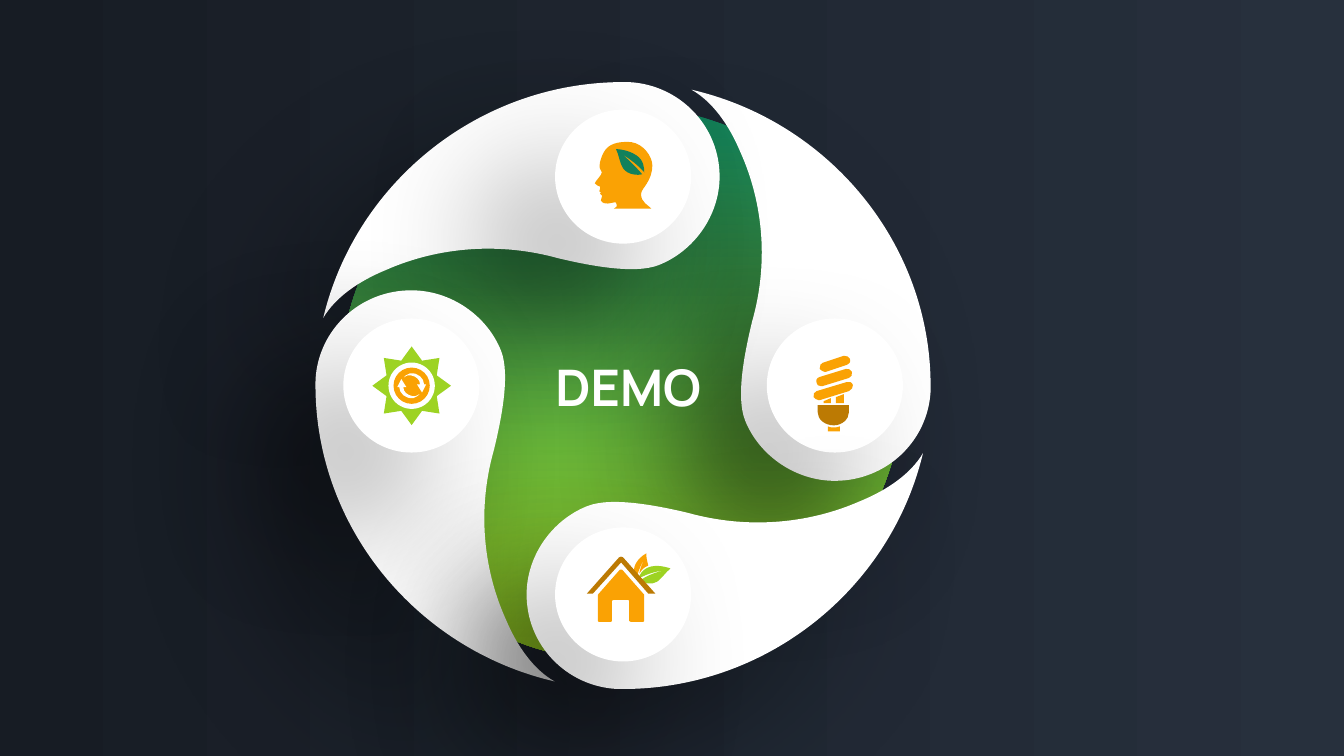
import math
import lxml.etree
import pptx
import pptx.dml.color
import pptx.enum.shapes
import pptx.enum.text
import pptx.oxml.ns
import pptx.util

inch = pptx.util.Inches
hue = pptx.dml.color.RGBColor.from_string
qn = pptx.oxml.ns.qn
kind = pptx.enum.shapes.MSO_SHAPE
WHITE, ORANGE, BROWN, LIME, GREEN = "FFFFFF", "FAA204", "BC7A03", "9DD323", "11815C"
W, H = 13.33, 7.5

deck = pptx.Presentation()
deck.slide_width, deck.slide_height = inch(W), inch(H)
slide = deck.slides.add_slide(deck.slide_layouts[6])
shapes = slide.shapes


def paint(shape, *tones, angle=0, shade=False):
    """Fill with one tone, or a gradient of two; optionally cast a soft shadow."""
    shape.line.fill.background()
    shape.shadow.inherit = False
    if len(tones) == 1:
        shape.fill.solid()
        shape.fill.fore_color.rgb = hue(tones[0])
    else:
        shape.fill.gradient()
        shape.fill.gradient_angle = angle
        for stop, tone in zip(shape.fill.gradient_stops, tones):
            stop.color.rgb = hue(tone)
    if shade:
        glow = lxml.etree.SubElement(
            shape.element.spPr.find(qn("a:effectLst")), qn("a:outerShdw"),
            blurRad=str(pptx.util.Pt(100)), dist=str(pptx.util.Pt(67)),
            dir=str(135 * 60000), algn="tr", rotWithShape="0")
        tone = lxml.etree.SubElement(glow, qn("a:srgbClr"), val="000000")
        lxml.etree.SubElement(tone, qn("a:alpha"), val="40000")


def draw(path, tone, move=lambda x, y: (x, y), shade=False):
    """Path steps are split by ';': two numbers make a line, six a Bezier curve."""
    steps = [[float(n) for n in step.split()] for step in path.split(";")]
    dots = [tuple(1000 * v for v in move(x, y))
            for step in steps for x, y in zip(step[::2], step[1::2])]
    pen = shapes.build_freeform(*dots[0], scale=914.4)
    pen.add_line_segments(dots[1:], close=True)
    form = pen.convert_to_shape()
    # Merge each run of three points that belongs to a curve
    lines = iter(list(form.element.iter(qn("a:lnTo"))))
    for step in steps[1:]:
        first = next(lines)
        if len(step) == 6:
            first.tag = qn("a:cubicBezTo")
            for extra in (next(lines), next(lines)):
                first.append(extra[0])
                extra.getparent().remove(extra)
    paint(form, tone, shade=shade)


# Backdrop and green hub
back = shapes.add_shape(kind.RECTANGLE, 0, 0, inch(W), inch(H))
paint(back, "171C24", "27303D")
hub = shapes.add_shape(kind.OVAL, inch(3.37), inch(1.05), inch(5.59), inch(5.51))
paint(hub, GREEN, LIME, angle=270)

# Four petals with discs: right, top, left, bottom, each a quarter turn on
CX, CY, FLAT = 6.18, 3.825, 0.987
PETAL = ("9.23 3.89; 9.26 2.45 8.24 1.21 6.86 .89; 7.07 1.01 7.23 1.24 7.34 1.5;"
         "7.58 2.03 7.62 2.63 7.46 3.19; 7.38 3.52 7.3 3.94 7.39 4.17;"
         "7.53 4.52 7.89 4.77 8.28 4.77; 8.79 4.77 9.2 4.38 9.23 3.89")
for cos, sin in ((1, 0), (0, 1), (-1, 0), (0, -1)):
    def turn(x, y):
        x, y = x - CX, (y - CY) / FLAT
        return CX + x * cos + y * sin, CY + (y * cos - x * sin) * FLAT

    draw(PETAL, WHITE, turn, shade=True)
    x, y = turn(CX + 2.1, CY)
    disc = shapes.add_shape(kind.OVAL, inch(x - 1.35 / 2), inch(y - 1.33 / 2),
                            inch(1.35), inch(1.33))
    paint(disc, WHITE, shade=True)

# House with leaves
draw("6.46 5.62; 6.37 5.64 6.34 5.71 6.33 5.74; 6.41 5.7 6.49 5.67 6.58 5.66;"
     "6.5 5.68 6.41 5.71 6.35 5.76; 6.38 5.78 6.46 5.81 6.52 5.77;"
     "6.58 5.72 6.6 5.68 6.65 5.64; 6.65 5.64 6.55 5.6 6.46 5.62", LIME)
draw("6.32 5.71; 6.34 5.65 6.36 5.59 6.39 5.55; 6.37 5.59 6.35 5.64 6.34 5.69;"
     "6.36 5.66 6.38 5.63 6.43 5.61; 6.42 5.57 6.41 5.54 6.41 5.49;"
     "6.32 5.54 6.25 5.64 6.31 5.73", ORANGE)
draw("6.15 5.65; 5.93 5.9; 5.93 6.16; 5.94 6.17; 6.06 6.17; 6.07 6.16; 6.07 5.96;"
     "6.09 5.95; 6.23 5.95; 6.24 5.96; 6.24 6.16; 6.26 6.17; 6.38 6.17; 6.39 6.16;"
     "6.39 5.9; 6.17 5.65", ORANGE)
draw("6.18 5.53; 6.17 5.52 6.15 5.52 6.14 5.53; 5.82 5.89; 5.88 5.89; 6.16 5.58;"
     "6.43 5.89; 6.5 5.89", BROWN)

# Sun: an eight-pointed star, a white ring, then a core with two arrows
SX, SY = 4.083, 3.827
star = []
for i in range(16):
    reach, turned = (0.39, 0.27)[i % 2], math.tau * i / 16
    star.append(f"{SX + reach * math.cos(turned):.3f} {SY + reach * math.sin(turned):.3f}")
draw(";".join(star), LIME)
for size, tone in ((0.46, WHITE), (0.36, ORANGE)):
    ring = shapes.add_shape(kind.OVAL, inch(SX - size / 2), inch(SY - size / 2),
                            inch(size), inch(size))
    paint(ring, tone)
ARROW = ("4.12 3.93; 4.11 3.93 4.09 3.93 4.09 3.93; 4.04 3.92 4 3.89 4 3.84;"
         "4.03 3.84; 3.98 3.76; 3.94 3.84; 3.96 3.84; 3.96 3.9 4.02 3.96 4.1 3.95;"
         "4.14 3.93; 4.16 3.91; 4.14 3.92 4.13 3.93 4.12 3.93")
draw(ARROW, WHITE)
draw(ARROW, WHITE, lambda x, y: (2 * SX - x, 2 * SY - y))

# Light bulb: tip, base, three coils, two pins
draw("8.27 4.24; 8.24 4.24 8.23 4.24 8.21 4.23; 8.21 4.28; 8.33 4.28; 8.33 4.23;"
     "8.31 4.24 8.29 4.24 8.27 4.24", ORANGE)
draw("8.11 4.02; 8.11 4.09; 8.11 4.16 8.18 4.22 8.27 4.22;"
     "8.35 4.22 8.42 4.16 8.42 4.09; 8.42 4.02", BROWN)
for part in (
        "8.14 3.83; 8.12 3.83 8.1 3.82 8.1 3.8; 8.09 3.77 8.1 3.75 8.13 3.74; 8.39 3.66;"
        "8.41 3.65 8.44 3.67 8.45 3.69; 8.46 3.72 8.44 3.74 8.42 3.75; 8.16 3.83",
        "8.18 3.69; 8.16 3.69 8.14 3.67 8.13 3.66; 8.13 3.63 8.14 3.6 8.16 3.6; 8.37 3.53;"
        "8.4 3.53 8.42 3.54 8.43 3.56; 8.44 3.59 8.42 3.62 8.4 3.62; 8.19 3.69",
        "8.12 3.97; 8.1 3.97 8.08 3.95 8.07 3.94; 8.06 3.91 8.08 3.89 8.1 3.88; 8.4 3.79;"
        "8.42 3.78 8.45 3.79 8.46 3.82; 8.46 3.84 8.45 3.87 8.42 3.88; 8.13 3.97",
        "8.37 4; 8.37 3.91; 8.29 3.94; 8.29 4",
        "8.24 4; 8.24 3.95; 8.17 3.98; 8.17 4"):
    draw(part, ORANGE)

# Head with leaf
draw("6.36 1.92; 6.36 1.87 6.47 1.8 6.47 1.64; 6.47 1.56 6.39 1.43 6.26 1.41;"
     "6.13 1.4 6.03 1.43 5.99 1.51; 5.95 1.58 5.94 1.66 5.95 1.67;"
     "5.95 1.69 5.97 1.69 5.97 1.71; 5.97 1.74 5.9 1.8 5.9 1.82;"
     "5.91 1.84 5.95 1.85 5.95 1.85; 5.95 1.85 5.96 1.86 5.95 1.88;"
     "5.93 1.91 5.97 1.91 5.97 1.91; 5.97 1.91 5.93 1.91 5.97 1.94;"
     "5.98 1.94 5.96 1.97 5.96 1.99; 5.98 2.02 6 2.02 6.03 2.02;"
     "6.06 2.02 6.1 2 6.11 2.01; 6.13 2.05 6.11 2.06 6.09 2.07; 6.46 2.07;"
     "6.44 2.04 6.35 2.01 6.36 1.92", ORANGE)
draw("6.31 1.54; 6.39 1.59 6.39 1.68 6.39 1.71; 6.33 1.64 6.25 1.58 6.17 1.53;"
     "6.24 1.59 6.31 1.66 6.37 1.73; 6.33 1.74 6.23 1.74 6.18 1.67;"
     "6.14 1.6 6.14 1.54 6.11 1.48; 6.11 1.48 6.22 1.48 6.31 1.54", GREEN)

# Centre label
box = shapes.add_textbox(inch(5.02), inch(3.42), inch(2.42), inch(0.91))
frame = box.text_frame
frame.word_wrap = True
frame.vertical_anchor = pptx.enum.text.MSO_ANCHOR.MIDDLE
label = frame.paragraphs[0]
label.text = "DEMO"
label.alignment = pptx.enum.text.PP_ALIGN.CENTER
label.line_spacing = 0.9
label.font.name = "Manrope"
label.font.size = pptx.util.Pt(36)
label.font.bold = True
label.font.color.rgb = hue(WHITE)

deck.save("out.pptx")
